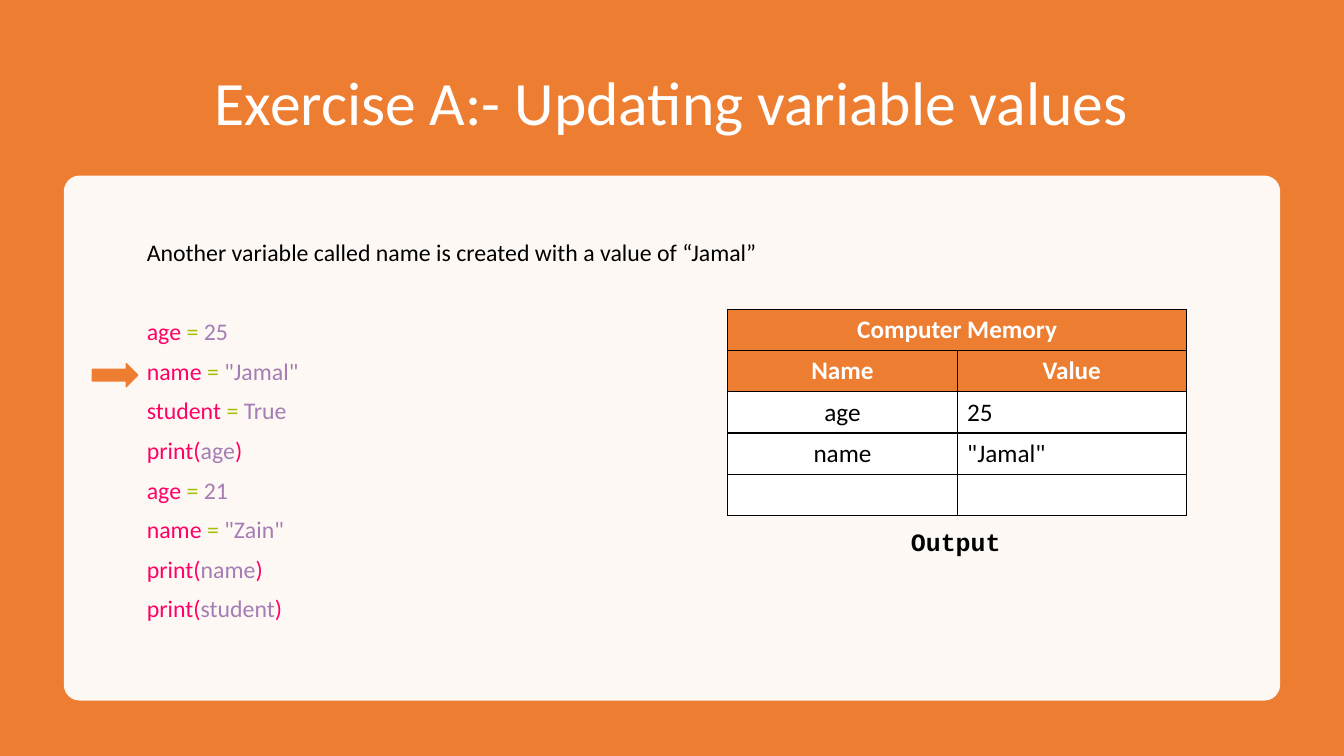
"""Build the slide on updating variable values, laid out on a 32 by 18 grid."""
from typing import NamedTuple, Optional

from lxml.etree import SubElement
from pptx import Presentation
from pptx.dml.color import RGBColor
from pptx.enum.shapes import MSO_SHAPE as Form
from pptx.enum.text import MSO_ANCHOR as Anchor, PP_ALIGN as Align
from pptx.oxml import parse_xml
from pptx.oxml.ns import nsdecls, qn
from pptx.util import Emu, Pt

UNIT = 381000
COLS, ROWS = 32, 18
ORANGE = RGBColor(0xED, 0x7D, 0x31)
WHITE = RGBColor(0xFF, 0xFF, 0xFF)
BLACK = RGBColor(0, 0, 0)
PINK = RGBColor(0xFF, 0x00, 0x66)
GREEN = RGBColor(0xA4, 0xBD, 0x00)
PURPLE = RGBColor(0xA4, 0x7D, 0xB4)
SANS, MONO = "Calibri", "Courier New"


class Box(NamedTuple):
    left: float
    top: float
    width: float
    height: float

    def emu(self) -> list[Emu]:
        return [grid(side) for side in self]


class Panel(NamedTuple):
    form: Form
    box: Box
    fill: RGBColor
    line: Optional[RGBColor] = None
    round: Optional[float] = None
    alpha: Optional[int] = None


class Style(NamedTuple):
    size: float
    color: RGBColor
    face: str = SANS
    bold: bool = False
    align: Align = Align.LEFT


class Label(NamedTuple):
    text: str
    box: Box
    style: Style
    anchor: Anchor = Anchor.TOP
    lead: float = 1.0
    after: float = 0


class Code(NamedTuple):
    words: tuple[str, str, str]
    colors: tuple[RGBColor, RGBColor, RGBColor]


def grid(count: float) -> Emu:
    return Emu(round(count * UNIT))


def assign(name: str, value: str) -> Code:
    return Code((f"{name} ", "= ", value), (PINK, GREEN, PURPLE))


def show(name: str) -> Code:
    return Code(("print(", name, ")"), (PINK, PURPLE, PINK))


PANELS = [
    Panel(Form.RECTANGLE, Box(0, 0, COLS, ROWS), ORANGE),
    Panel(Form.ROUNDED_RECTANGLE, Box(1.52, 4.18, 28.96, 12.5), WHITE, round=0.03, alpha=95),
    Panel(Form.RIGHT_ARROW, Box(2.2, 8.66, 1.08, 0.55), ORANGE, line=ORANGE),
]
TITLE = Label("Exercise A:- Updating variable values", Box(2.2, 1.2, 27.6, 2.64),
              Style(44, WHITE, align=Align.CENTER), Anchor.MIDDLE, 0.9)
INTRO = Label("Another variable called name is created with a value of “Jamal”",
              Box(3.26, 5.62, 26.52, 9.65), Style(17, BLACK), lead=0.9)
OUTPUT = Label("Output", Box(17.33, 12.43, 10.85, 0.96),
               Style(17.8, BLACK, MONO, True, Align.CENTER), after=6)
CODE = [
    assign("age", "25"), assign("name", '"Jamal"'), assign("student", "True"), show("age"),
    assign("age", "21"), assign("name", '"Zain"'), show("name"), show("student"),
]
GAP, BREAK = 9.9, 38.2
MEMORY = [("Computer Memory", ""), ("Name", "Value"), ("age", "25"), ("name", '"Jamal"'), ("", "")]
HEADS = 2
TABLE = Box(17.33, 7.37, 10.92, 4.9)


def dress(para, style: Style) -> None:
    para.alignment = style.align
    font = para.font
    font.name, font.size, font.bold = style.face, Pt(style.size), style.bold
    font.color.rgb = style.color


def draw(slide, panel: Panel) -> None:
    shape = slide.shapes.add_shape(panel.form, *panel.box.emu())
    shape.shadow.inherit = False
    shape.fill.solid()
    shape.fill.fore_color.rgb = panel.fill
    if panel.line is None:
        shape.line.fill.background()
    else:
        shape.line.color.rgb = panel.line
        shape.line.width = Pt(1)
    if panel.round is not None:
        shape.adjustments[0] = panel.round
    if panel.alpha is not None:
        color = shape.fill._xPr.find(qn("a:solidFill"))[0]
        SubElement(color, qn("a:alpha"), val=str(panel.alpha * 1000))


def write(slide, label: Label):
    frame = slide.shapes.add_textbox(*label.box.emu()).text_frame
    frame.word_wrap = True
    frame.vertical_anchor = label.anchor
    para = frame.paragraphs[0]
    para.text = label.text
    para.line_spacing = label.lead
    para.space_after = Pt(label.after)
    dress(para, label.style)
    return frame


def list_code(frame, lines: list[Code]) -> None:
    for index, line in enumerate(lines):
        para = frame.add_paragraph()
        para.line_spacing = INTRO.lead
        para.space_before = Pt(GAP if index else BREAK)
        dress(para, INTRO.style)
        for text, color in zip(line.words, line.colors):
            run = para.add_run()
            run.text = text
            run.font.color.rgb = color


def edge(cell) -> None:
    props = cell._tc.get_or_add_tcPr()
    for side in "LRTB":
        props.append(parse_xml(
            f'<a:ln{side} {nsdecls("a")} w="{Pt(1)}"><a:solidFill>'
            f'<a:srgbClr val="{BLACK}"/></a:solidFill></a:ln{side}>'))


def tabulate(slide) -> None:
    table = slide.shapes.add_table(len(MEMORY), len(MEMORY[0]), *TABLE.emu()).table
    table.first_row = table.horz_banding = False
    table.cell(0, 0).merge(table.cell(0, 1))
    for row, texts in enumerate(MEMORY):
        head = row < HEADS
        for col, text in enumerate(texts):
            cell = table.cell(row, col)
            edge(cell)
            cell.fill.solid()
            cell.fill.fore_color.rgb = ORANGE if head else WHITE
            cell.vertical_anchor = Anchor.MIDDLE
            cell.text = text
            align = Align.CENTER if head or col == 0 else Align.LEFT
            dress(cell.text_frame.paragraphs[0],
                  Style(18, WHITE if head else BLACK, bold=head, align=align))


def main() -> None:
    deck = Presentation()
    deck.slide_width, deck.slide_height = grid(COLS), grid(ROWS)
    slide = deck.slides.add_slide(deck.slide_layouts[6])
    for panel in PANELS:
        draw(slide, panel)
    write(slide, TITLE)
    list_code(write(slide, INTRO), CODE)
    tabulate(slide)
    write(slide, OUTPUT)
    deck.save("out.pptx")


if __name__ == "__main__":
    main()
